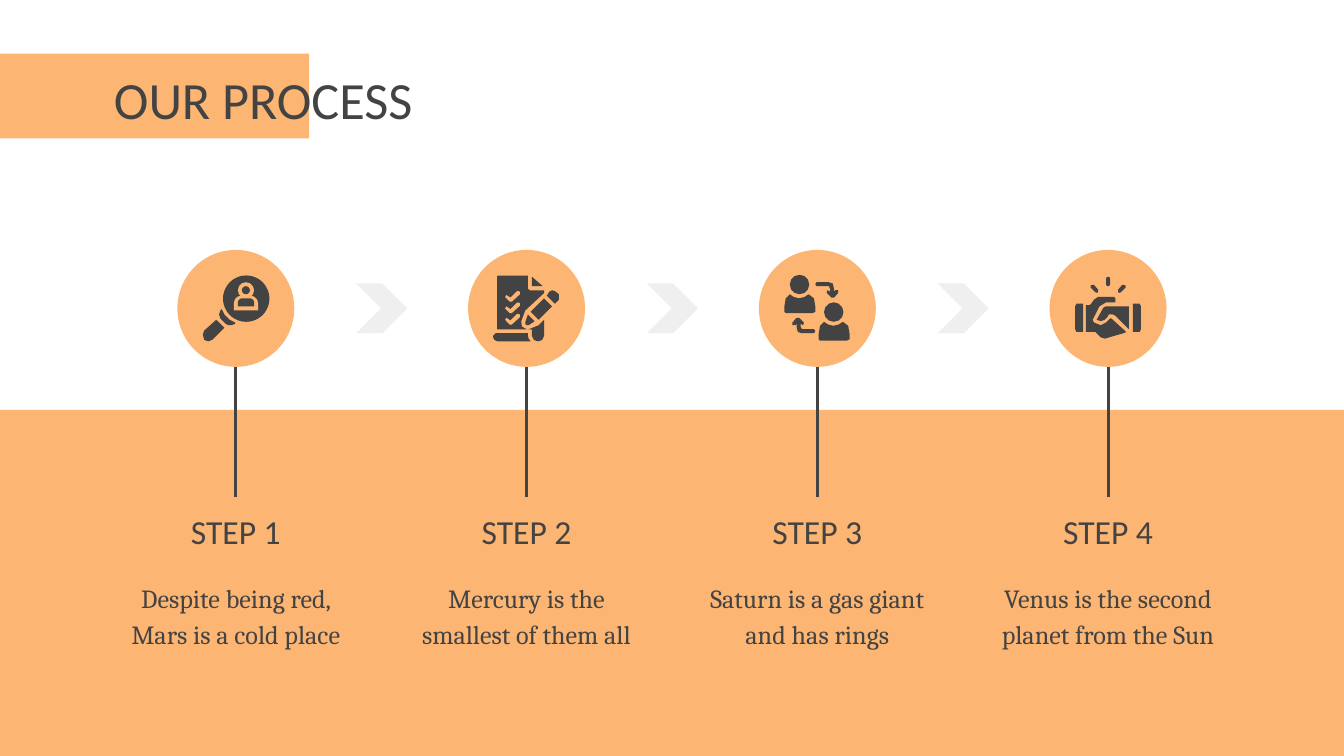
from lxml import etree
from pptx import Presentation
from pptx.dml.color import RGBColor
from pptx.enum.shapes import MSO_CONNECTOR, MSO_SHAPE
from pptx.enum.text import MSO_ANCHOR, PP_ALIGN
from pptx.oxml.ns import qn
from pptx.util import Inches, Pt

RECTANGLE = MSO_SHAPE.RECTANGLE
OVAL = MSO_SHAPE.OVAL
ROUNDED = MSO_SHAPE.ROUNDED_RECTANGLE
ROUND_TOP = MSO_SHAPE.ROUND_2_SAME_RECTANGLE
CHEVRON = MSO_SHAPE.CHEVRON
STRAIGHT = MSO_CONNECTOR.STRAIGHT
TOP = MSO_ANCHOR.TOP
LEFT, CENTER = PP_ALIGN.LEFT, PP_ALIGN.CENTER

ORANGE = RGBColor(0xFC, 0xB5, 0x72)
DARK = RGBColor(0x43, 0x43, 0x43)
PALE = RGBColor(0xEF, 0xEF, 0xEF)

HEADING_FONT, BODY_FONT = "Calibri", "Cambria"
SLIDE_WIDTH = 10
SLIDE_HEIGHT = SLIDE_WIDTH * 9 / 16
BAND_TOP = 3.05
STEP_LEFT, STEP_RIGHT, STEP_WIDTH = 0.74, 9.26, 2.03
CIRCLE_TOP, CIRCLE_SIZE = 1.86, 0.87
ICON_UNIT = 0.01

STEPS = [
    ("STEP 1", "Despite being red, Mars is a cold place"),
    ("STEP 2", "Mercury is the smallest of them all"),
    ("STEP 3", "Saturn is a gas giant and has rings"),
    ("STEP 4", "Venus is the second planet from the Sun"),
]


def paint(shape, color):
    shape.shadow.inherit = False
    shape.fill.solid()
    shape.fill.fore_color.rgb = color
    shape.line.fill.background()


def add_preset(slide, preset, box, color):
    shape = slide.shapes.add_shape(preset, *map(Inches, box))
    paint(shape, color)
    return shape


def add_text(slide, text, box, size, font=HEADING_FONT, align=LEFT,
             line_spacing=None, space_after=None):
    frame = slide.shapes.add_textbox(*map(Inches, box)).text_frame
    frame.word_wrap = True
    frame.vertical_anchor = TOP
    frame.margin_left = frame.margin_right = Inches(0.1)
    frame.margin_top = frame.margin_bottom = Inches(0.1)
    paragraph = frame.paragraphs[0]
    paragraph.alignment = align
    paragraph.line_spacing = line_spacing
    paragraph.space_after = space_after
    run = paragraph.add_run()
    run.text = text
    run.font.name = font
    run.font.size = Pt(size)
    run.font.color.rgb = DARK


def add_stem(slide, x, top, bottom):
    stem = slide.shapes.add_connector(
        STRAIGHT, Inches(x), Inches(top), Inches(x), Inches(bottom))
    stem.line.color.rgb = DARK
    stem.line.width = Pt(1.5)
    etree.SubElement(stem._element.spPr, qn("a:effectLst"))


def icon_preset(slide, origin, preset, box, color=DARK):
    left, top = origin
    x, y, width, height = (value * ICON_UNIT for value in box)
    return add_preset(slide, preset, (left + x, top + y, width, height), color)


def icon_outline(slide, origin, points, color=DARK):
    left, top = origin
    corners = [(Inches(left + x * ICON_UNIT), Inches(top + y * ICON_UNIT))
               for x, y in points]
    builder = slide.shapes.build_freeform(*corners[0])
    builder.add_line_segments(corners[1:], close=True)
    paint(builder.convert_to_shape(), color)


def draw_search(slide, origin):
    icon_preset(slide, origin, OVAL, (34, 19, 34.5, 34.5))
    icon_preset(slide, origin, OVAL, (45, 24, 12, 12), ORANGE)
    for box, color in (((42, 34, 18, 11), ORANGE), ((45, 36, 12, 6), DARK)):
        shoulders = icon_preset(slide, origin, ROUND_TOP, box, color)
        shoulders.adjustments[0] = 0.5
    icon_preset(slide, origin, OVAL, (48, 27, 6, 6))
    collar = [(33, 44), (32, 45), (31, 48), (32, 51), (36, 55), (38, 56),
              (40, 56), (43, 55), (43, 54), (39, 52), (35, 48)]
    handle = [(29, 52), (20, 60), (19, 63), (20, 67), (23, 68), (26, 67),
              (35, 58), (34, 57), (30, 53)]
    for part in (collar, handle):
        icon_outline(slide, origin, part)


def draw_checklist(slide, origin):
    page = [(22, 19), (44.5, 19), (44.5, 29), (46, 30), (56.5, 30), (56.5, 32),
            (42.5, 45), (39.5, 53), (40, 57), (43.5, 59), (45, 59), (52.5, 56),
            (56.5, 52), (56.5, 64), (55, 67), (52, 68), (49, 67), (47.5, 64),
            (47.5, 59), (21.5, 59), (21.5, 20)]
    fold = [(47.5, 20), (47.5, 27), (55.5, 27)]
    scroll = [(20.5, 62), (18.5, 64), (18.5, 65), (19.5, 67), (21.5, 68),
              (46.5, 68), (45, 66), (44.5, 64), (44.5, 62)]
    tip = [(44.5, 48), (42.5, 54), (43, 56), (45, 56), (49.5, 53)]
    shaft = [(56.5, 36), (46.5, 46), (52.5, 52), (62.5, 42)]
    eraser = [(62.5, 30), (60.5, 31), (58.5, 34), (64.5, 40), (67.5, 37),
              (67.5, 33), (65, 31)]
    for part in (page, fold, scroll, tip, shaft, eraser):
        icon_outline(slide, origin, part)
    tick = [(28.5, 33.5), (31.5, 35.5), (36.5, 30.5), (38.5, 31), (38.5, 33),
            (32.5, 38.5), (31, 38.5), (27.5, 35)]
    for drop in (0, 8.5, 17):
        icon_outline(slide, origin, [(x, y + drop) for x, y in tick], ORANGE)


def draw_exchange(slide, origin):
    body = [(23, 33), (20, 36), (19, 42), (19, 46), (20, 47), (40, 47),
            (42, 46), (42, 42), (41, 36), (37, 33), (34, 35), (30, 36),
            (26, 35)]
    for right, down in ((0, 0), (25.5, 20.5)):
        icon_preset(slide, origin, OVAL, (23 + right, 18.5 + down, 14.5, 14.5))
        icon_outline(slide, origin, [(x + right, y + down) for x, y in body])
    arrow = [(43, 24), (42, 25.5), (43, 27), (52, 27), (53, 29), (53, 31),
             (51, 30), (50.5, 32), (54, 35.5), (56, 35.5), (59, 32), (59, 30),
             (57, 30), (56, 31), (56, 29), (55, 25), (52, 24)]
    icon_outline(slide, origin, arrow)
    icon_outline(slide, origin, [(84 - x, 86 - y) for x, y in arrow])


def draw_handshake(slide, origin):
    spark = [(32, 26), (30.5, 26.5), (30.5, 28), (34, 31.5), (35.5, 32),
             (36, 31), (36, 29.5), (33, 26)]
    cuff = [(20, 40), (19, 42), (19, 59), (20, 61), (25, 61), (25, 40)]
    for part in (spark, cuff):
        icon_outline(slide, origin, part)
        icon_outline(slide, origin, [(87 - x, y) for x, y in part])
    ray = icon_preset(slide, origin, ROUNDED, (42, 20, 3, 7))
    ray.adjustments[0] = 0.5
    right_hand = [(42, 42), (40, 43), (35, 52), (38, 53), (41, 52), (43, 50),
                  (44, 48), (47, 48), (49, 49), (59, 59), (59, 42)]
    left_hand = [(36, 35), (33, 37), (31, 40), (30, 41), (27, 41), (27, 61),
                 (34, 61), (38, 65), (41, 66), (55, 62), (57, 61), (46, 51),
                 (45, 51), (42, 54), (38, 56), (33, 54), (32, 52), (37, 42),
                 (42, 39), (49, 39), (49, 36), (48, 35)]
    for part in (right_hand, left_hand):
        icon_outline(slide, origin, part)


def add_header(slide, box):
    left, top, width, height = box
    add_preset(slide, RECTANGLE, (left, top, 2.3, height), ORANGE)
    add_text(slide, "OUR PROCESS", (left + 0.75, top, width - 1.1, height), 28)


def add_step(slide, box, step, draw_icon):
    left, top, width, height = box
    name, description = step
    center = left + width / 2
    circle_left = center - CIRCLE_SIZE / 2
    add_preset(slide, OVAL, (circle_left, top, CIRCLE_SIZE, CIRCLE_SIZE), ORANGE)
    draw_icon(slide, (circle_left, top))
    add_stem(slide, center, top + CIRCLE_SIZE, top + 1.84)
    add_text(slide, name, (left, top + 1.84, width, 0.63), 18, align=CENTER)
    add_text(slide, description, (left, top + 2.34, width, height - 2.34), 14,
             font=BODY_FONT, align=CENTER, line_spacing=1.15,
             space_after=Pt(16))


def add_process(slide, box):
    left, top, width, height = box
    pitch = (width - STEP_WIDTH) / (len(STEPS) - 1)
    icons = (draw_search, draw_checklist, draw_exchange, draw_handshake)
    for index, (step, draw_icon) in enumerate(zip(STEPS, icons)):
        step_left = left + index * pitch
        add_step(slide, (step_left, top, STEP_WIDTH, height), step, draw_icon)
        if index < len(STEPS) - 1:
            add_preset(slide, CHEVRON,
                       (step_left + 1.91, top + 0.25, 0.38, 0.37), PALE)


def main():
    presentation = Presentation()
    presentation.slide_width = Inches(SLIDE_WIDTH)
    presentation.slide_height = Inches(SLIDE_HEIGHT)
    slide = presentation.slides.add_slide(presentation.slide_layouts[6])
    add_header(slide, (0, 0.4, SLIDE_WIDTH, 0.63))
    add_preset(slide, RECTANGLE,
               (0, BAND_TOP, SLIDE_WIDTH, SLIDE_HEIGHT - BAND_TOP), ORANGE)
    add_process(slide, (STEP_LEFT, CIRCLE_TOP, STEP_RIGHT - STEP_LEFT, 3.08))
    presentation.save("out.pptx")


if __name__ == "__main__":
    main()
